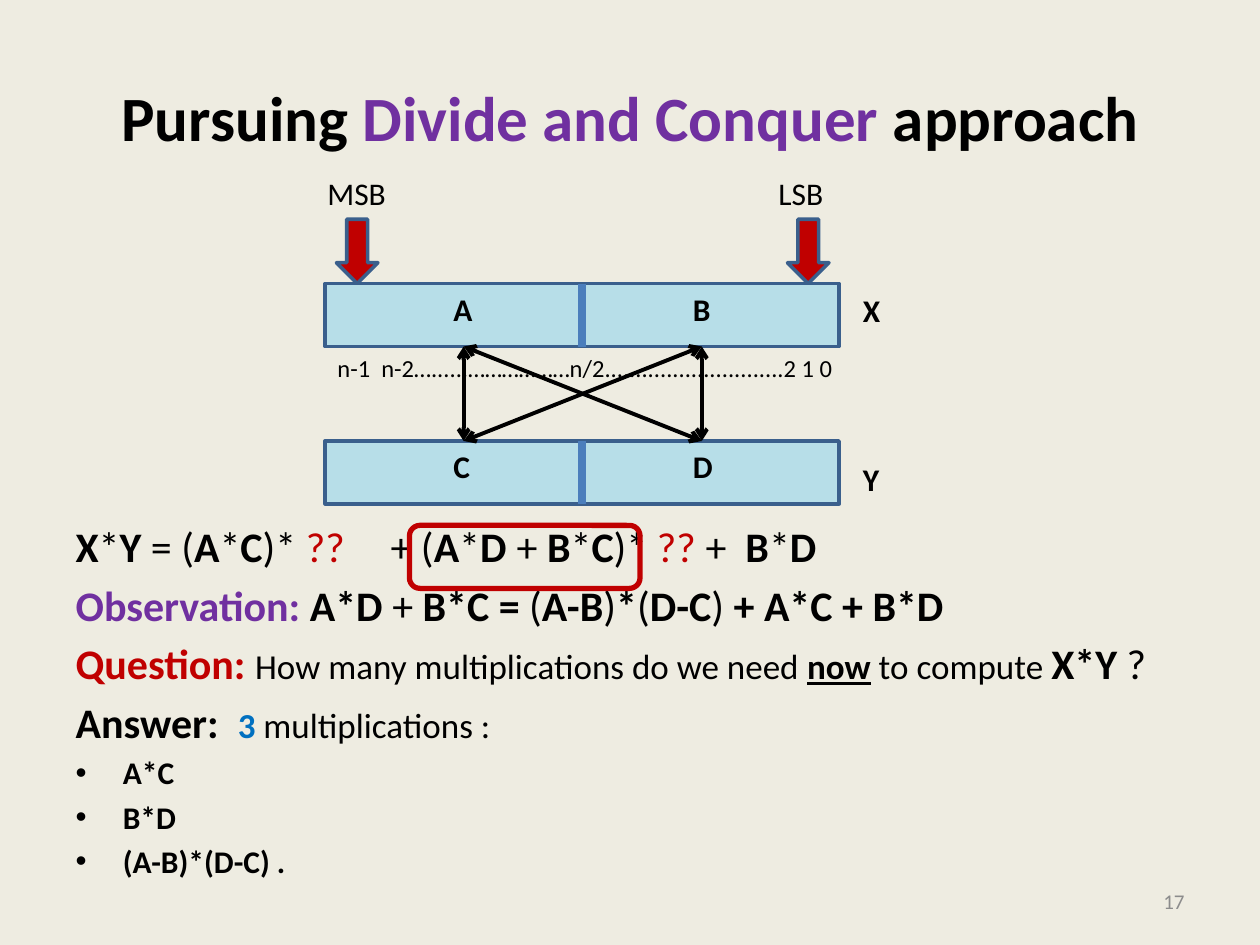
from lxml import etree
from pptx import Presentation
from pptx.dml.color import RGBColor
from pptx.enum.shapes import MSO_CONNECTOR, MSO_SHAPE
from pptx.enum.text import MSO_ANCHOR, MSO_AUTO_SIZE, PP_ALIGN
from pptx.oxml.ns import qn
from pptx.util import Inches, Pt

STRAIGHT = MSO_CONNECTOR.STRAIGHT
RECT, ROUND_RECT, DOWN_ARROW = MSO_SHAPE.RECTANGLE, MSO_SHAPE.ROUNDED_RECTANGLE, MSO_SHAPE.DOWN_ARROW
CENTER, RIGHT = PP_ALIGN.CENTER, PP_ALIGN.RIGHT
MIDDLE, NO_AUTOSIZE = MSO_ANCHOR.MIDDLE, MSO_AUTO_SIZE.NONE
BLACK, RED, PURPLE, BLUE = "000000", "C00000", "7030A0", "0070C0"
BAR, BORDER, DIVIDER, GREY = "B7DEE8", "3A5F8C", "4B7EBC", "8C8C8C"
TAB_STOPS = (2.43, 3.58, 5.46)

FORMULA = [
    ("X", 1), ("*", 0), ("Y ", 1), ("= (", 0), ("A", 1), ("*", 0), ("C", 1), (")* ", 0),
    ("??", 0, RED), ("\t+ (", 0), ("A", 1), ("*", 0), ("D", 1), ("\t+ ", 0), ("B", 1),
    ("*", 0), ("C", 1), (")* ", 0), ("??", 0, RED), ("\t+  ", 0), ("B", 1), ("*", 0), ("D", 1),
]
OBSERVATION = [
    ("Observation: ", 1, PURPLE), ("A*D", 1), (" + ", 0), ("B*C = ", 1), ("(", 0), ("A-B", 1),
    (")", 0), ("*", 1), ("(", 0), ("D-C", 1), (")", 0), (" + A*C + B*D", 1),
]
QUESTION = [
    ("Question: ", 1, RED), ("How many multiplications do we need ", 0, BLACK, 20),
    ("now", 1, BLACK, 20, True), (" to compute ", 0, BLACK, 20), ("X*Y ", 1), ("?", 0),
]
ANSWER = [("Answer:  ", 1), ("3", 1, BLUE, 20), (" multiplications :", 0, BLACK, 20)]
PRODUCTS = ["A*C", "B*D", "(A-B)*(D-C) ."]


def rgb(value):
    """Return the colour of a hex string."""
    return RGBColor.from_string(value)


def add_run(p, text, bold=False, color=BLACK, size=24, underline=False):
    """Append a formatted run to a paragraph."""
    r = p.add_run()
    r.text = text
    r.font.name, r.font.size = "Calibri", Pt(size)
    r.font.bold, r.font.underline = bool(bold), underline
    r.font.color.rgb = rgb(color)


def place(s, left, top, width, height):
    """Move and size a shape, in inches."""
    s.left, s.top, s.width, s.height = map(Inches, (left, top, width, height))


def add_label(slide, text, left, top, width=0.35, height=0.4, size=18, bold=False):
    """Add a one-line label that does not wrap."""
    s = slide.shapes.add_textbox(*map(Inches, (left, top, width, height)))
    tf = s.text_frame
    tf.word_wrap = False
    add_run(tf.paragraphs[0], text, bold, size=size)


def add_box(slide, kind, left, top, width, height, fill, line, weight=2):
    """Add an outlined preset shape, hollow when fill is None."""
    s = slide.shapes.add_shape(kind, *map(Inches, (left, top, width, height)))
    s.shadow.inherit = False
    if fill:
        s.fill.solid()
        s.fill.fore_color.rgb = rgb(fill)
    else:
        s.fill.background()
    s.line.color.rgb = rgb(line)
    s.line.width = Pt(weight)


def add_line(slide, x1, y1, x2, y2, color, weight, arrows=False):
    """Add a straight line, with arrowheads at both ends if asked."""
    s = slide.shapes.add_connector(STRAIGHT, *map(Inches, (x1, y1, x2, y2)))
    s.line.color.rgb = rgb(color)
    s.line.width = Pt(weight)
    if arrows:
        for end in ("a:headEnd", "a:tailEnd"):
            etree.SubElement(s.line._get_or_add_ln(), qn(end), type="arrow")
    etree.SubElement(s._element.spPr, qn("a:effectLst"))


def remove_bullet(p, tabs=()):
    """Set a paragraph flush left without a bullet, with tab stops in inches."""
    pPr = p._p.get_or_add_pPr()
    pPr.set("marL", "0")
    pPr.set("indent", "0")
    etree.SubElement(pPr, qn("a:buNone"))
    if tabs:
        tab_list = etree.SubElement(pPr, qn("a:tabLst"))
        for tab in tabs:
            etree.SubElement(tab_list, qn("a:tab"), pos=str(Inches(tab)), algn="l")


def fill_title(s):
    """Write the title in its placeholder."""
    place(s, 0.5, 0.3, 9, 1.25)
    s.text_frame.vertical_anchor = MIDDLE
    p = s.text_frame.paragraphs[0]
    p.alignment = CENTER
    for text, color in (("Pursuing", BLACK), (" Divide and Conquer ", PURPLE), ("approach", BLACK)):
        add_run(p, text, True, color, 36)


def fill_body(s):
    """Write the derivation and the list of products in the body placeholder."""
    place(s, 0.5, 4.08, 9, 3.17)
    tf = s.text_frame
    tf.auto_size = NO_AUTOSIZE
    for i, runs in enumerate((FORMULA, OBSERVATION, QUESTION, ANSWER)):
        p = tf.add_paragraph() if i else tf.paragraphs[0]
        remove_bullet(p, () if i else TAB_STOPS)
        for run in runs:
            add_run(p, *run)
    tf.paragraphs[0].space_before = Pt(0)
    for product in PRODUCTS:
        add_run(tf.add_paragraph(), product, True, size=18)


def add_number(slide, left, top, width, height, halves, name, name_top):
    """Draw one number as a bar split into two named halves."""
    middle = left + width / 2
    add_box(slide, RECT, left, top, width, height, BAR, BORDER)
    add_line(slide, middle, top, middle, top + height, DIVIDER, 4.5)
    for text, x in zip(halves, (3.5, 5.4)):
        add_label(slide, text, x, top, bold=True)
    add_label(slide, name, left + width + 0.09, name_top, bold=True)


def add_diagram(slide, left, top, width, height):
    """Draw both numbers, their bit labels and the products between them."""
    bar = 0.5
    bottom = top + height - bar
    add_number(slide, left, top, width, bar, "AB", "X", top + 0.01)
    add_number(slide, left, bottom, width, bar, "CD", "Y", bottom + 0.1)
    for text, x, label_width in (("MSB", 2.5, 0.67), ("LSB", 6.08, 0.56)):
        add_box(slide, DOWN_ARROW, x + 0.17, top - 0.51, 0.33, 0.51, RED, BORDER)
        add_label(slide, text, x, top - 0.92, label_width)
    add_label(slide, "n-1  n-2…......………………n/2.............................2 1 0",
              left, top + bar, 4.24, 0.34, 14)
    for x1 in (3.68, 5.57):
        for x2 in (3.68, 5.57):
            add_line(slide, x1, top + bar, x2, bottom, BLACK, 2.25, True)


def add_slide_number(slide, left, top, width, height):
    """Write the slide number at the lower right."""
    s = slide.shapes.add_textbox(*map(Inches, (left, top, width, height)))
    tf = s.text_frame
    tf.word_wrap = True
    tf.vertical_anchor = MIDDLE
    tf.paragraphs[0].alignment = RIGHT
    add_run(tf.paragraphs[0], "17", color=GREY, size=12)


def main():
    """Build and save the slide."""
    prs = Presentation()
    prs.slide_width, prs.slide_height = Inches(10), Inches(7.5)
    slide = prs.slides.add_slide(prs.slide_layouts[1])
    slide.background.fill.solid()
    slide.background.fill.fore_color.rgb = rgb("EEECE1")
    fill_title(slide.shapes.title)
    fill_body(slide.placeholders[1])
    add_slide_number(slide, 7.17, 6.95, 2.33, 0.4)
    add_diagram(slide, 2.58, 2.25, 4.08, 1.75)
    add_box(slide, ROUND_RECT, 3.25, 4.17, 1.83, 0.5, None, RED, 3)
    prs.save("out.pptx")


if __name__ == "__main__":
    main()
